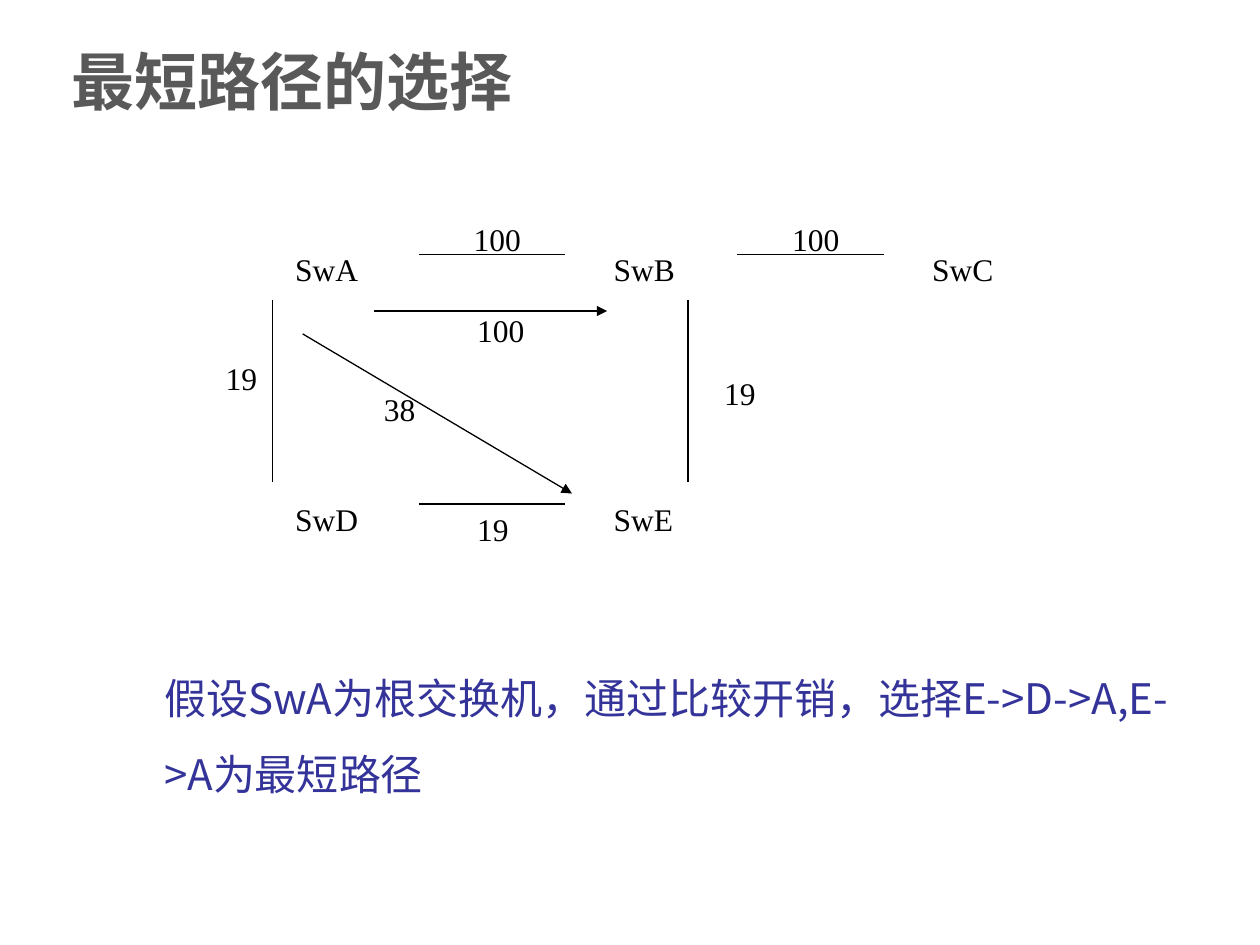
import pptx
import pptx.util
import pptx.dml.color
import pptx.enum.shapes
import pptx.enum.text
import pptx.oxml.ns
import lxml.etree

Cm, Pt = pptx.util.Cm, pptx.util.Pt
ALIGN, ANCHOR = pptx.enum.text.PP_ALIGN, pptx.enum.text.MSO_ANCHOR
SANS, SERIF = "Noto Sans CJK SC", "Times New Roman"


def color(value):
    return pptx.dml.color.RGBColor.from_string(value)


def sub(parent, tag, **attrs):
    return lxml.etree.SubElement(parent, pptx.oxml.ns.qn(tag), attrs)


def add_text(slide, text, box, size=18, font=SERIF, fill="000000", bold=False,
             align=ALIGN.LEFT, anchor=ANCHOR.TOP, inset=0.25, spacing=None):
    sp = slide.shapes.add_textbox(*(Cm(v) for v in box))
    tf = sp.text_frame
    tf.word_wrap = True
    tf.vertical_anchor = anchor
    tf.margin_left = Cm(inset)
    p = tf.paragraphs[0]
    p.alignment = align
    p.line_spacing = spacing
    r = p.add_run()
    r.text = text
    r.font.size, r.font.name, r.font.bold = Pt(size), font, bold
    r.font.color.rgb = color(fill)
    sub(r._r.get_or_add_rPr(), "a:ea", typeface=font)


def add_line(slide, x1, y1, x2, y2, arrow=False):
    line = slide.shapes.add_connector(
        pptx.enum.shapes.MSO_CONNECTOR.STRAIGHT, Cm(x1), Cm(y1), Cm(x2), Cm(y2))
    line.line.color.rgb = color("000000")
    line.line.width = Pt(0.75)
    if arrow:
        sub(line.line._get_or_add_ln(), "a:tailEnd", type="triangle")
    sub(line._element.spPr, "a:effectLst")


def add_title(slide, box):
    add_text(slide, "最短路径的选择", box, size=36, font=SANS, fill="595959",
             bold=True, anchor=ANCHOR.MIDDLE, inset=0.55)


def add_network(slide, left, top):
    """Switches on a grid, the cost of each link, and two candidate paths."""
    col_step, row_step = 6.42, 5.03
    first_x, first_y = left + 1.4, top + 0.6

    for name, col, row, width in [("SwA", 0, 0, 1.98), ("SwB", 1, 0, 2.46),
                                  ("SwC", 2, 0, 1.98), ("SwD", 0, 1, 1.98),
                                  ("SwE", 1, 1, 1.98)]:
        add_text(slide, name, (first_x + col * col_step, first_y + row * row_step,
                               width, 1.37), align=ALIGN.JUSTIFY)

    for col, row in [(0, 0), (1, 0), (0, 1)]:
        x, y = first_x + 2.74 + col * col_step, first_y + 0.21 + row * row_step
        add_line(slide, x, y, x + 2.96, y)
    for x in (left + 1.2, left + 9.57):
        add_line(slide, x, top + 1.72, x, top + 5.4)
    for x1, y1, x2, y2 in [(3.24, 1.95, 7.94, 1.95), (1.8, 2.41, 7.23, 5.63)]:
        add_line(slide, left + x1, top + y1, left + x2, top + y2, arrow=True)

    for cost, x, y, width, height in [
            ("100", 5, 0, 2.95, 1.37), ("100", 5 + col_step, 0, 2.95, 1.37),
            ("100", 5.07, 1.82, 2.72, 1), ("19", 5.07, 5.83, 2.34, 1),
            ("19", 0, 2.79, 2.34, 1), ("19", 10.05, 3.09, 2.97, 1.37),
            ("38", 3.19, 3.42, 2.95, 1.37)]:
        add_text(slide, cost, (left + x, top + y, width, height),
                 align=ALIGN.JUSTIFY)


def add_conclusion(slide, box):
    add_text(slide, "假设SwA为根交换机，通过比较开销，选择E->D->A,E->A为最短路径",
             box, size=24, font=SANS, fill="333399", inset=1.2, spacing=1.5)


def main():
    prs = pptx.Presentation()
    prs.slide_width, prs.slide_height = Cm(25.4), Cm(19.05)
    slide = prs.slides.add_slide(prs.slide_layouts[6])
    add_title(slide, (0.89, 0.53, 20.83, 2.16))
    add_network(slide, 4.3, 4.32)
    add_conclusion(slide, (2.11, 12.93, 22.4, 3.6))
    prs.save("out.pptx")


if __name__ == "__main__":
    main()
